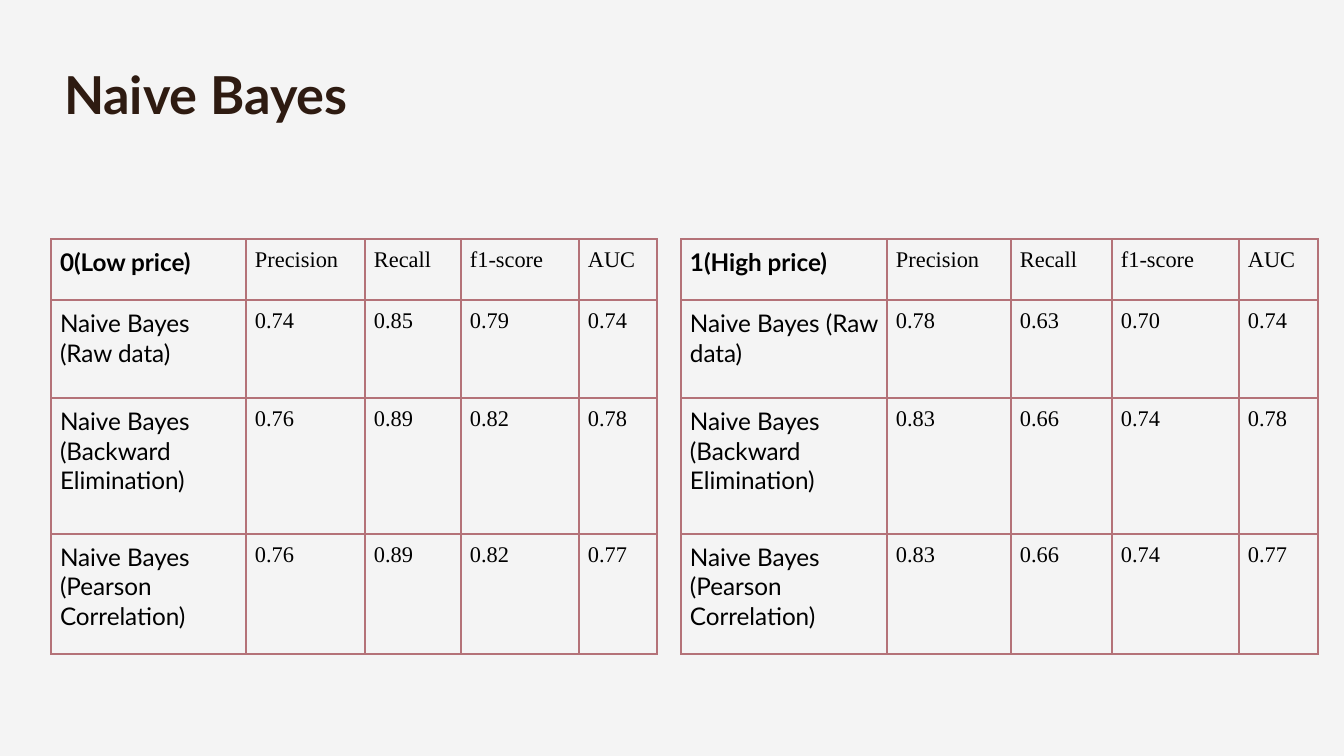
from lxml.etree import SubElement
from pptx import Presentation
from pptx.dml.color import RGBColor as RGB
from pptx.enum.text import MSO_ANCHOR as Anchor, PP_ALIGN as Align
from pptx.oxml.ns import qn
from pptx.util import Pt

PX = 914400 / 134.4
COLORS = {"background": "F4F4F4", "title": "2E1B11", "text": "000000", "border": "B47278"}
METRICS = ["Precision", "Recall", "f1-score", "AUC"]
MODELS = ["Naive Bayes (Raw data)", "Naive Bayes (Backward Elimination)",
          "Naive Bayes (Pearson Correlation)"]
ROW_HEIGHTS = [61, 98, 136, 120]
TOP = 239
MARGIN = 9
PRICE_CLASSES = [
    ("0(Low price)", 51, [195, 119, 96, 118, 78],
     [["0.74", "0.85", "0.79", "0.74"],
      ["0.76", "0.89", "0.82", "0.78"],
      ["0.76", "0.89", "0.82", "0.77"]]),
    ("1(High price)", 681, [206, 124, 101, 127, 79],
     [["0.78", "0.63", "0.70", "0.74"],
      ["0.83", "0.66", "0.74", "0.78"],
      ["0.83", "0.66", "0.74", "0.77"]]),
]


def px(length):
    return round(length * PX)


def set_font(paragraph, name, size, color, bold=False):
    font = paragraph.font
    font.name, font.size, font.bold = name, Pt(size), bold
    font.color.rgb = RGB.from_string(COLORS[color])


prs = Presentation()
prs.slide_width, prs.slide_height = px(1344), px(756)
slide = prs.slides.add_slide(prs.slide_layouts[5])
slide.background.fill.solid()
slide.background.fill.fore_color.rgb = RGB.from_string(COLORS["background"])

title = slide.shapes.title
title.left, title.top, title.width, title.height = px(51), px(35), px(324), px(117)
heading = title.text_frame
heading.text = "Naive Bayes"
heading.vertical_anchor = Anchor.MIDDLE
heading.margin_left = heading.margin_right = px(13)
heading.margin_top = heading.margin_bottom = px(13)
heading.paragraphs[0].alignment = Align.LEFT
set_font(heading.paragraphs[0], "Lato", 28, "title", bold=True)

for price_class, left, column_widths, scores in PRICE_CLASSES:
    rows = [[price_class] + METRICS] + [[m] + s for m, s in zip(MODELS, scores)]
    results = slide.shapes.add_table(
        len(rows), len(column_widths), px(left), px(TOP),
        px(sum(column_widths)), px(sum(ROW_HEIGHTS))).table
    results.first_row = results.horz_banding = False
    for column, width in zip(results.columns, column_widths):
        column.width = px(width)
    for row, height in zip(results.rows, ROW_HEIGHTS):
        row.height = px(height)

    for r, row in enumerate(rows):
        for c, entry in enumerate(row):
            cell = results.cell(r, c)
            cell.text = entry
            cell.margin_left = cell.margin_right = px(MARGIN)
            cell.margin_top = cell.margin_bottom = px(MARGIN)
            name, size = ("Times New Roman", 12) if c else ("Lato", 13)
            set_font(cell.text_frame.paragraphs[0], name, size, "text", bold=r == c == 0)
            properties = cell._tc.get_or_add_tcPr()
            for side in ("a:lnL", "a:lnR", "a:lnT", "a:lnB"):
                line = SubElement(properties, qn(side), w=str(Pt(1)))
                fill = SubElement(line, qn("a:solidFill"))
                SubElement(fill, qn("a:srgbClr"), val=COLORS["border"])
            cell.fill.background()

prs.save("out.pptx")
